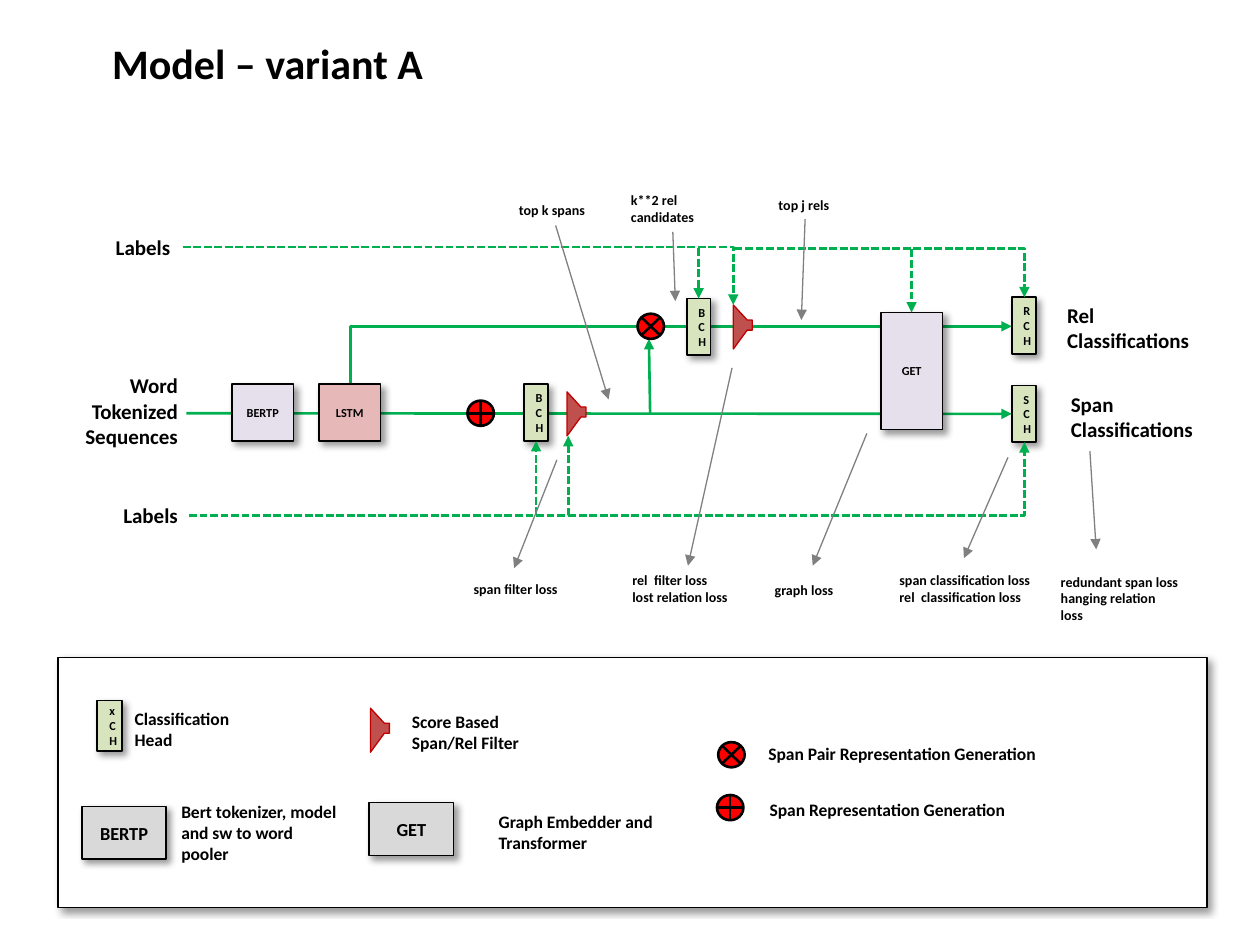
"""Builds the slide that shows variant A of the span and relation model."""
from lxml import etree
from pptx import Presentation
from pptx import util as u
from pptx.dml.color import RGBColor
from pptx.enum import dml, shapes, text
from pptx.oxml.ns import qn

COLORS = {
    "text": "000000", "panel": "FFFFFF", "head": "D7E4BD", "encoder": "E6E0EC",
    "lstm": "E6B9B8", "key": "D9D9D9", "filter": "C0504D", "filter_edge": "C00000",
    "node": "FF0000", "flow": "00B050", "note": "808080",
}
LEFT, CENTER, RIGHT = text.PP_ALIGN.LEFT, text.PP_ALIGN.CENTER, text.PP_ALIGN.RIGHT
OR = shapes.MSO_SHAPE.FLOWCHART_OR
SUM = shapes.MSO_SHAPE.FLOWCHART_SUMMING_JUNCTION
TOP, LEFT_SIDE, BOTTOM = 0, 1, 2


def rgb(name):
    return RGBColor.from_string(COLORS[name])


def write(tf, content, size=10, align=LEFT, anchor=text.MSO_ANCHOR.TOP, color="text"):
    tf.word_wrap = True
    tf.vertical_anchor = anchor
    for i, line in enumerate(content.split("\n")):
        p = tf.add_paragraph() if i else tf.paragraphs[0]
        p.alignment = align
        r = p.add_run()
        r.text = line
        r.font.name, r.font.size, r.font.bold = "Calibri", u.Pt(size), True
        r.font.color.rgb = rgb(color)


class Diagram:
    """Draws styled elements on a slide grid of 100 columns by 75 rows."""

    def __init__(self, prs):
        self.s = prs.slides.add_slide(prs.slide_layouts[5])
        self.cell = prs.slide_width / 100

    def grid(self, *values):
        return [u.Emu(round(v * self.cell)) for v in values]

    def paint(self, sp, fill, edge, width):
        sp.shadow.inherit = False
        sp.fill.solid()
        sp.fill.fore_color.rgb = rgb(fill)
        sp.line.color.rgb = rgb(edge)
        sp.line.width = u.Pt(width)
        return sp

    def title(self, content, *at):
        sp = self.s.shapes.title
        sp.left, sp.top, sp.width, sp.height = self.grid(*at)
        write(sp.text_frame, content, size=24)

    def label(self, content, *at, **style):
        sp = self.s.shapes.add_textbox(*self.grid(*at))
        write(sp.text_frame, content, **style)
        sp.text_frame.auto_size = text.MSO_AUTO_SIZE.SHAPE_TO_FIT_TEXT

    def box(self, content, fill, *at, size=7, width=1):
        sp = self.s.shapes.add_shape(shapes.MSO_SHAPE.RECTANGLE, *self.grid(*at))
        self.paint(sp, fill, "text", width)
        effects = sp._element.spPr.find(qn("a:effectLst"))
        shadow = etree.SubElement(effects, qn("a:outerShdw"), blurRad="50800",
                                  dist="38100", dir="2700000", algn="tl", rotWithShape="0")
        black = etree.SubElement(shadow, qn("a:srgbClr"), val=COLORS["text"])
        etree.SubElement(black, qn("a:alpha"), val="40000")
        if content:
            write(sp.text_frame, content, size, CENTER, text.MSO_ANCHOR.MIDDLE)
        return sp

    def head(self, content, x, y, w=1.9, h=4.5):
        return self.box(content, "head", x, y, w, h)

    def node(self, kind, x, y):
        sp = self.s.shapes.add_shape(kind, *self.grid(x, y, 2.1, 2))
        self.paint(sp, "node", "text", 1.5)

    def funnel(self, x, y):
        outline = [(0, 3.5), (0, 0), (1.1, 1.2), (1.5, 1.2), (1.5, 2), (1.1, 2)]
        points = [self.grid(x + dx, y + dy) for dx, dy in outline]
        builder = self.s.shapes.build_freeform(*points[0])
        builder.add_line_segments(points[1:], close=True)
        self.paint(builder.convert_to_shape(), "filter", "filter_edge", 0.75)

    def arrow(self, *ends, color="flow", width=1.5, dashed=False, bent=False, tip="tailEnd"):
        kind = shapes.MSO_CONNECTOR.ELBOW if bent else shapes.MSO_CONNECTOR.STRAIGHT
        line = self.s.shapes.add_connector(kind, *self.grid(*ends))
        line.line.color.rgb = rgb(color)
        line.line.width = u.Pt(width)
        if dashed:
            line.line.dash_style = dml.MSO_LINE.SQUARE_DOT
        props = line._element.spPr
        if bent:
            props.find(qn("a:prstGeom")).set("prst", "bentConnector2")
        etree.SubElement(props.find(qn("a:ln")), qn("a:" + tip), type="triangle")
        etree.SubElement(props, qn("a:effectLst"))
        return line


def draw_model(d):
    span_flow = d.arrow(14.8, 32.8, 80.3, 32.8)
    d.arrow(80.3, 25.9, 27.8, 30.5, bent=True, tip="headEnd")
    d.arrow(51.6, 32.8, 51.5, 26.9)

    d.box("BERTP", "encoder", 18.4, 30.5, 4.9, 4.5)
    d.box("LSTM", "lstm", 25.3, 30.5, 4.9, 4.5)
    graph = d.box("GET", "encoder", 69.9, 24.8, 4.9, 9.3)
    span_filter_head = d.head("BCH", 41.6, 30.5)
    rel_filter_head = d.head("BCH", 54.5, 23.7)
    d.head("RCH", 80.3, 23.6)
    span_head = d.head("SCH", 80.3, 30.6)
    span_flow.end_connect(span_head, LEFT_SIDE)
    d.node(OR, 37.1, 31.8)
    d.node(SUM, 50.6, 24.9)
    d.funnel(45, 31.1)
    d.funnel(58.2, 24.2)

    for ends in [(14.5, 19.6, 58.2, 24.2), (58.3, 19.7, 81.3, 23.6),
                 (15, 40.9, 45.1, 34.6), (45.1, 40.9, 81.3, 35.1)]:
        d.arrow(*ends, dashed=True, bent=True)
    for x, y, target, side in [(42.55, 40.9, span_filter_head, BOTTOM),
                               (55.45, 19.7, rel_filter_head, TOP),
                               (72.35, 19.8, graph, TOP)]:
        d.arrow(x, y, x, y, dashed=True).end_connect(target, side)

    for content, *at in [("Word Tokenized Sequences", 3.9, 29.1, 11.2, 7.1),
                         ("Labels", 7.7, 18.1, 6.8, 3),
                         ("Labels", 8.3, 39.4, 6.8, 3)]:
        d.label(content, *at, size=12, align=RIGHT)
    d.label("Rel Classifications", 83.7, 23.5, 12.2, 5, size=12)
    d.label("Span Classifications", 84, 30.6, 12.2, 5, size=12)


def draw_notes(d):
    for content, *at in [
        ("top k spans", 40.2, 15.5, 7.8, 2.4),
        ("k**2 rel candidates", 49.1, 14.7, 8.6, 3.7),
        ("top j rels", 60.8, 15.1, 6.2, 2.4),
        ("span filter loss", 36.6, 45.6, 9.5, 2.4),
        ("rel  filter loss\nlost relation loss", 49.2, 44.9, 10.8, 3.7),
        ("graph loss", 60.5, 45.7, 8.6, 2.4),
        ("span classification loss\nrel  classification loss", 70.4, 44.9, 15, 3.7),
        ("redundant span loss hanging relation loss", 83.2, 45, 11.5, 3.7),
    ]:
        d.label(content, *at, size=8)
    for ends in [(44.1, 17.9, 48.3, 31.7), (53.4, 18.4, 53.6, 23.9),
                 (63.9, 17.4, 63.6, 25.4), (44.2, 36.5, 40.8, 45.1),
                 (58.1, 29.2, 54.6, 44.9), (68.8, 34.4, 64.5, 44.9),
                 (80, 36.3, 76.5, 44.3), (86.5, 35.8, 87, 43.6)]:
        d.arrow(*ends, color="note", width=0.75)


def draw_legend(d):
    d.box("", "panel", 4.6, 52.2, 91.2, 19.8, width=0.75)
    d.head("xCH", 7.7, 55.6, 2, 4)
    d.funnel(29.4, 56.2)
    d.box("BERTP", "key", 6.5, 64, 6.7, 4.2, size=10.5)
    d.box("GET", "key", 29.3, 63.7, 6.7, 4.2, size=10.5)
    d.node(SUM, 57, 58.9)
    d.node(OR, 56.9, 63.1)
    for content, *at in [
        ("Classification Head", 9.7, 55.7, 11.8, 4.4),
        ("Score Based Span/Rel Filter", 31.7, 55.9, 11.8, 4.4),
        ("Bert tokenizer, model and sw to word pooler", 13.4, 63.1, 14.9, 6.1),
        ("Graph Embedder and Transformer", 38.6, 63.9, 14.9, 4.4),
        ("Span Pair Representation Generation", 60, 58.5, 27.4, 2.7),
        ("Span Representation Generation", 60.1, 62.9, 27.4, 2.7),
    ]:
        d.label(content, *at)


def main():
    prs = Presentation()
    prs.slide_width, prs.slide_height = u.Inches(10), u.Inches(7.5)
    d = Diagram(prs)
    d.title("Model – variant A", 7.9, 2.5, 84.6, 5)
    draw_model(d)
    draw_notes(d)
    draw_legend(d)
    prs.save("out.pptx")


if __name__ == "__main__":
    main()
